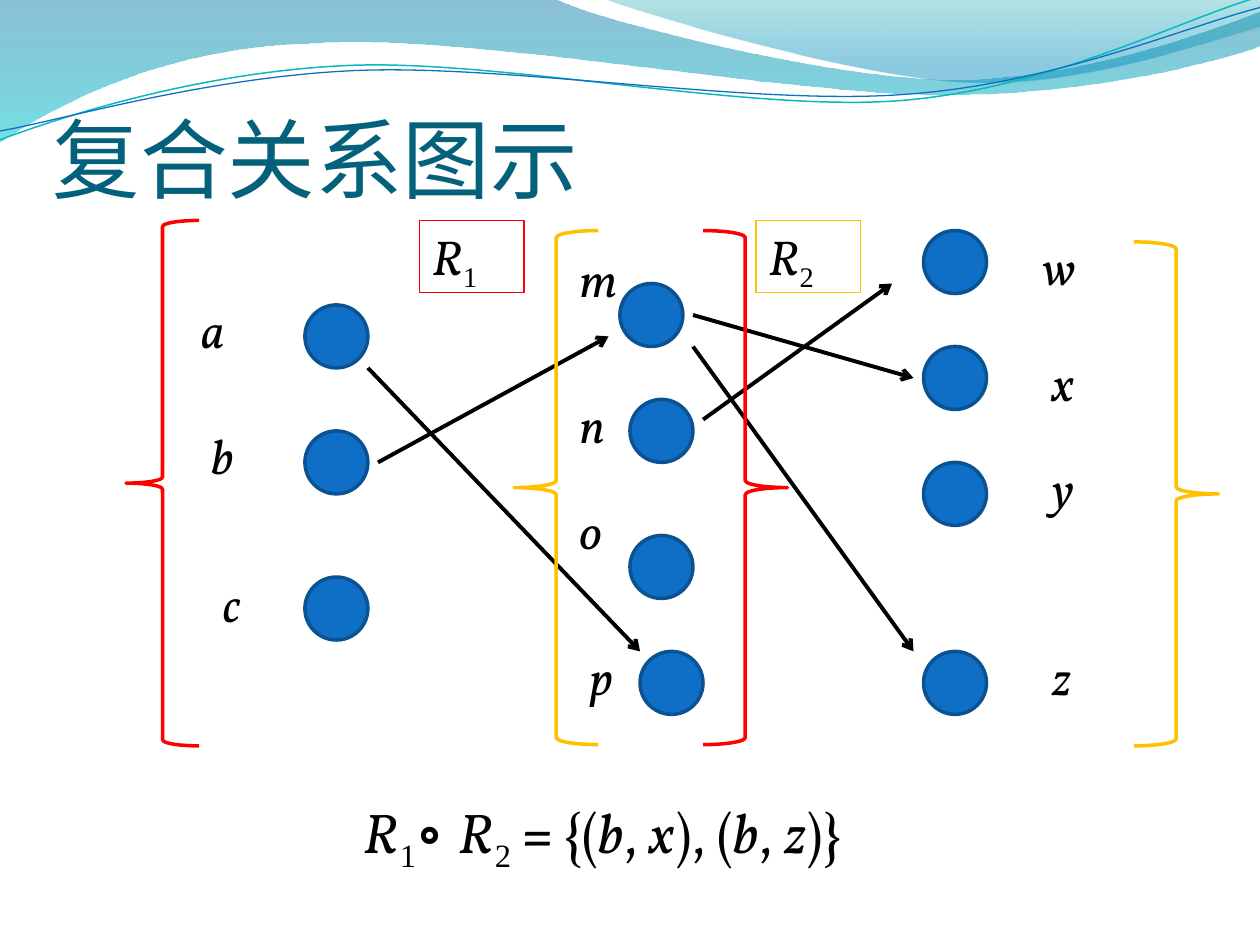
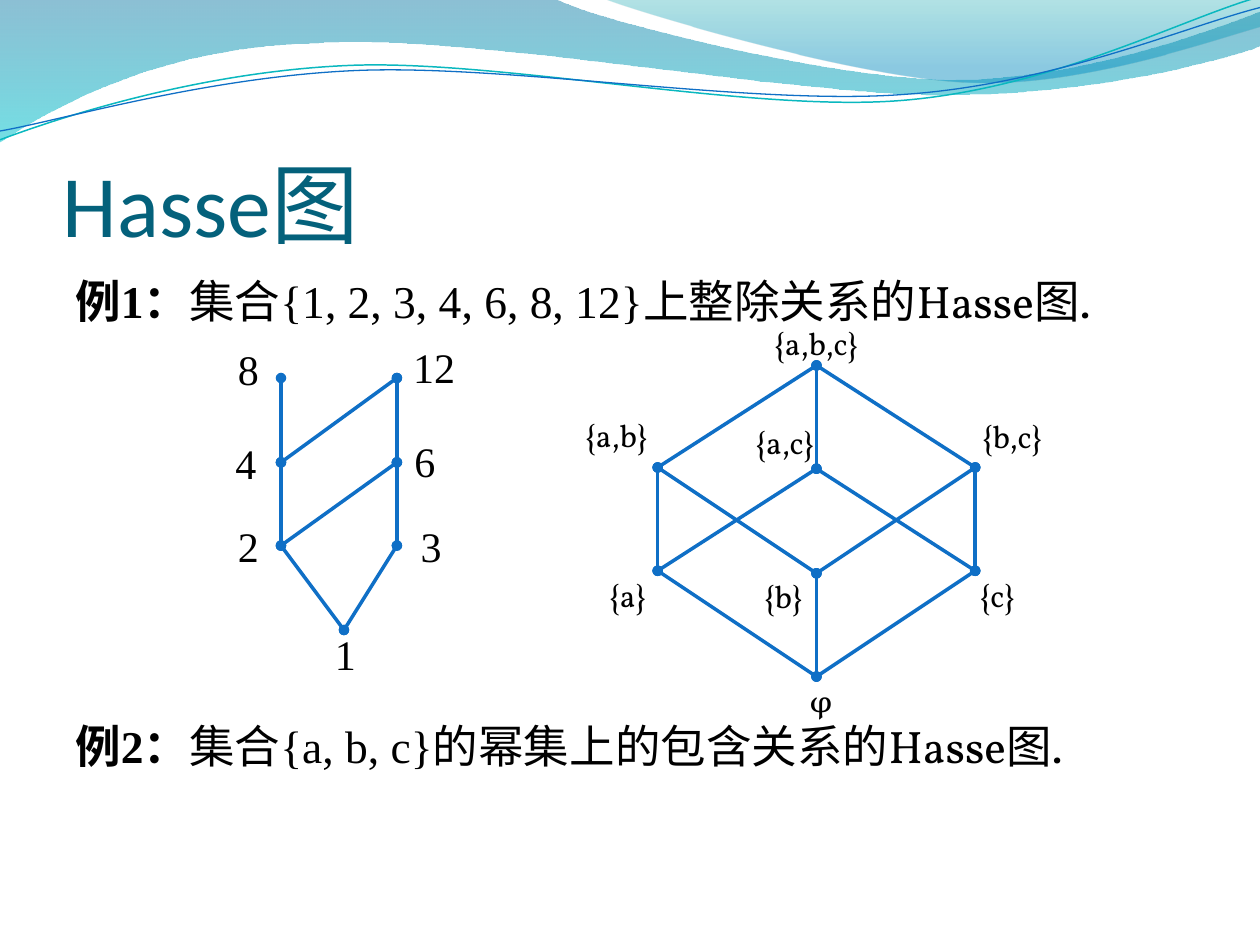
"""Build two slides on composed relations and Hasse diagrams."""
import pptx
import pptx.dml.color
import pptx.enum.shapes
import pptx.enum.text
import pptx.oxml
import pptx.oxml.ns
import pptx.util
from lxml import etree

BLUE, DARK_BLUE, TEAL = "0F6FC6", "0B5292", "04617B"
RED, AMBER, BLACK = "FF0000", "FFC000", "000000"
SERIF, ROMAN = "Vollkorn", "Times New Roman"
SHAPES = pptx.enum.shapes.MSO_SHAPE
ITALIC, UPRIGHT = {"italic": True}, {"italic": False}
SUBSCRIPT = {"name": ROMAN, "baseline": -25000}
WAVES = [
    {
        "steps": [(0, 0), (4.4, -0.01), (4.76, 0.17, 6.64, 0.63, 7.58, 0.63),
                  (8.53, 0.63, 9.58, 0.26, 10, 0.09), (10.01, 0.36),
                  (9.83, 0.44, 8.7, 0.76, 7.46, 0.75),
                  (6.22, 0.75, 3.82, 0.28, 2.57, 0.34),
                  (1.29, 0.36, 0.46, 0.83, -0.01, 1.13)],
        "stops": [(0, "0074A1", 45), (1, "00C6CF", 55)],
    },
    {
        "steps": [(4.79, -0.01), (5.09, 0.11, 6.82, 0.62, 7.69, 0.65),
                  (8.56, 0.69, 9.61, 0.32, 10, 0.21), (10, 0)],
        "stops": [(0, "00A1A9", 30), (0.8, "008BBF", 45)],
    },
    {
        "steps": [(0, 1.11), (0.48, 0.93, 1.58, 0.57, 2.77, 0.52),
                  (3.95, 0.47, 5.93, 0.89, 7.13, 0.8),
                  (8.33, 0.71, 9.38, 0.15, 9.98, -0.02)],
        "line": ("0AB8BF", 0.85),
    },
    {
        "steps": [(0, 1.04), (0.47, 0.96, 1.64, 0.61, 2.83, 0.56),
                  (4.03, 0.51, 5.97, 0.84, 7.17, 0.75),
                  (8.36, 0.67, 9.41, 0.21, 10, 0.06)],
        "line": (BLUE, 0.75),
    },
]


def colour(value):
    """Turn a hex string into a colour."""
    return pptx.dml.color.RGBColor.from_string(value)


def lengths(*inches):
    """Turn distances in inches into lengths."""
    return [pptx.util.Cm(value * 2.54) for value in inches]


def add_child(parent, tag, **attributes):
    """Append a DrawingML element with the given attributes."""
    child = etree.SubElement(parent, pptx.oxml.ns.qn("a:" + tag))
    for name, value in attributes.items():
        child.set(name, str(value))
    return child


class Deck:
    """Hold the presentation style and the current slide."""

    def __init__(self):
        """Start an empty presentation of 10 by 7.5 inches."""
        self.presentation = pptx.Presentation()
        self.presentation.slide_width, self.presentation.slide_height = lengths(10, 7.5)
        self.layout = self.presentation.slide_layouts[6]
        self.slide = None

    def new_slide(self, title, left, top):
        """Add a slide with a title, drawing the shared waves at the first."""
        first = self.slide is None
        self.slide = self.presentation.slides.add_slide(self.layout)
        if first:
            for wave in WAVES:
                self.layout.shapes._spTree.append(self.wave(**wave)._element)
        shape = self.text((left, top, 9, 1.25), [[(title, {})]], grow=False,
                          name="Calibri", size=50, colour=TEAL)
        frame = shape.text_frame
        frame.vertical_anchor = pptx.enum.text.MSO_ANCHOR.BOTTOM
        for side in ("left", "right"):
            setattr(frame, "margin_" + side, 0)
        frame.margin_bottom = 0

    def wave(self, steps, stops=None, line=None):
        """Draw one curve, either filled with a gradient or stroked."""
        points = [lengths(*step[-2:]) for step in steps]
        builder = self.slide.shapes.build_freeform(*points[0])
        builder.add_line_segments(points[1:], close=bool(stops))
        shape = builder.convert_to_shape()
        segments = list(shape._element.iter(pptx.oxml.ns.qn("a:lnTo")))
        for segment, step in zip(segments, steps[1:]):
            if len(step) == 6:
                self.bend(segment, step, shape)
        shape.shadow.inherit = False
        self.outline(shape, line)
        if not stops:
            shape.fill.background()
            return shape
        shape.fill.gradient()
        shape.fill.gradient_angle = 270
        for stop, (position, value, opacity) in zip(shape.fill.gradient_stops, stops):
            stop.position = position
            stop.color.rgb = colour(value)
            add_child(stop._gs[0], "alpha", val=opacity * 1000)
        return shape

    def bend(self, segment, step, shape):
        """Replace a straight segment by a cubic curve."""
        parent = segment.getparent()
        curve = add_child(parent, "cubicBezTo")
        for x, y in zip(lengths(*step[::2]), lengths(*step[1::2])):
            add_child(curve, "pt", x=x - shape.left, y=y - shape.top)
        parent.replace(segment, curve)

    def outline(self, shape, line):
        """Set a line from a colour and a width, or remove it."""
        if line:
            shape.line.color.rgb = colour(line[0])
            shape.line.width = pptx.util.Pt(line[1])
        else:
            shape.line.fill.background()

    def text(self, box, paragraphs, wrap=True, grow=True, line=None, **style):
        """Add a text box whose runs override a common style."""
        shape = self.slide.shapes.add_textbox(*lengths(*box))
        frame = shape.text_frame
        frame.word_wrap = wrap
        sizes = pptx.enum.text.MSO_AUTO_SIZE
        frame.auto_size = sizes.SHAPE_TO_FIT_TEXT if grow else sizes.NONE
        if line:
            self.outline(shape, line)
        for index, runs in enumerate(paragraphs):
            paragraph = frame.add_paragraph() if index else frame.paragraphs[0]
            for content, changes in runs:
                self.run(paragraph, content, {"name": SERIF, "colour": BLACK, **style, **changes})
        return shape

    def run(self, paragraph, content, values):
        """Add a run formatted by a dict of values."""
        run = paragraph.add_run()
        run.text = content
        run.font.color.rgb = colour(values.pop("colour"))
        run.font.size = pptx.util.Pt(values.pop("size"))
        if "baseline" in values:
            run._r.get_or_add_rPr().set("baseline", str(values.pop("baseline")))
        for name, value in values.items():
            setattr(run.font, name, value)

    def shape(self, kind, box, line, fill=None):
        """Add a preset shape."""
        shape = self.slide.shapes.add_shape(kind, *lengths(*box))
        shape.shadow.inherit = False
        self.outline(shape, line)
        if fill:
            shape.fill.solid()
            shape.fill.fore_color.rgb = colour(fill)
        else:
            shape.fill.background()

    def connect(self, start, end, line, ends):
        """Add a straight connector with the given end marks."""
        connector = self.slide.shapes.add_connector(
            pptx.enum.shapes.MSO_CONNECTOR.STRAIGHT, *lengths(*start, *end))
        self.outline(connector, line)
        for tag, mark in ends.items():
            add_child(connector.line._get_or_add_ln(), tag, type=mark)
        add_child(connector._element.spPr, "effectLst")

    def hasse(self, nodes, below, label, **style):
        """Draw a Hasse diagram by joining each node to those it covers."""
        for upper, (x, y, *_) in nodes.items():
            lower = [node for node in nodes if node != upper and below(node, upper)]
            for node in lower:
                if not any(other != node and below(node, other) for other in lower):
                    self.connect((x, y), nodes[node][:2], (BLUE, 2),
                                 {"headEnd": "oval", "tailEnd": "oval"})
        for node, (_, _, *box) in nodes.items():
            self.text(box, [[(label(node), {})]], wrap=False, **style)


def set_label(members):
    """Write a set of letters in braces, or the empty set sign."""
    return "{" + ",".join(members) + "}" if members else "φ"


def relation_slide(deck):
    """Show the composition of two relations."""
    deck.new_slide("复合关系图示", 0.42, 0.42)
    elements = {
        "a": (2.42, 2.42, 1.5, 2.33), "b": (2.42, 3.42, 1.58, 3.33),
        "c": (2.42, 4.58, 1.67, 4.5),
        "m": (4.92, 2.25, 4.5, 1.92), "n": (5, 3.17, 4.5, 3.08),
        "o": (5, 4.25, 4.5, 3.92), "p": (5.08, 5.17, 4.58, 5.08),
        "w": (7.33, 1.83, 8.17, 1.83), "x": (7.33, 2.75, 8.25, 2.75),
        "y": (7.33, 3.67, 8.25, 3.58), "z": (7.33, 5.17, 8.25, 5.08),
    }
    for name, (left, top, label_left, label_top) in elements.items():
        deck.shape(SHAPES.OVAL, (left, top, 0.5, 0.5), (DARK_BLUE, 2), BLUE)
        deck.text((label_left, label_top, 0.42, 0.57), [[(name, ITALIC)]], size=28)
    for number, left, value in (("1", 3.33, RED), ("2", 6, AMBER)):
        deck.text((left, 1.75, 0.83, 0.57), [[("R", ITALIC), (number, SUBSCRIPT)]],
                  line=(value, 0.75), size=28)
    arrows = [
        ((3, 3.67), (4.83, 2.67)), ((2.92, 2.92), (5.08, 5.17)),
        ((5.58, 3.33), (7.08, 2.25)), ((5.5, 2.5), (7.25, 3)),
        ((5.5, 2.75), (7.25, 5.17)),
    ]
    for start, end in arrows:
        deck.connect(start, end, (BLACK, 2.25), {"tailEnd": "arrow"})
    formula = [("R", ITALIC), ("1", SUBSCRIPT), ("∘ ", {"name": ROMAN, "bold": True}),
               ("R", ITALIC), ("2", SUBSCRIPT), (" = ", {"bold": True})]
    for index, part in enumerate(("{(", "b", ", ", "x", "), (", "b", ", ", "z", ")}")):
        formula.append((part, ITALIC if index % 2 else UPRIGHT))
    deck.text((2.79, 6.28, 4.63, 0.64), [formula], size=32)
    braces = [
        (SHAPES.RIGHT_BRACE, (5.58, 1.83, 0.67, 4.08), RED),
        (SHAPES.LEFT_BRACE, (1, 1.75, 0.58, 4.17), RED),
        (SHAPES.RIGHT_BRACE, (9, 1.92, 0.67, 4), AMBER),
        (SHAPES.LEFT_BRACE, (4.08, 1.83, 0.67, 4.08), AMBER),
    ]
    for kind, box, value in braces:
        deck.shape(kind, box, (value, 2))


def hasse_slide(deck):
    """Show Hasse diagrams of divisibility and of inclusion."""
    deck.new_slide("Hasse图", 0.5, 0.77)
    examples = [
        ("1：", "集合{1, 2, 3, 4, 6, 8, 12}上整除关系的"),
        ("2：", "集合{a, b, c}的幂集上的包含关系的"),
    ]
    body = deck.text((0.5, 2.12, 9, 4.8), [
        [("例", {"bold": True}), (number, {"name": ROMAN, "bold": True}),
         (statement, {"name": ROMAN}), ("Hasse图.", {})]
        for number, statement in examples
    ], grow=False, size=26)
    first, second = body.text_frame.paragraphs
    first.space_before = pptx.util.Pt(5.2)
    second.space_before = pptx.util.Pt(218)
    second.line_spacing = pptx.util.Pt(36)
    left, right = 2.23, 3.15
    divisors = {
        8: (left, 3, 1.79, 2.68, 0.39, 0.5), 12: (right, 3, 3.18, 2.66, 0.57, 0.5),
        4: (left, 3.67, 1.77, 3.42, 0.39, 0.5), 6: (right, 3.67, 3.19, 3.41, 0.39, 0.5),
        2: (left, 4.33, 1.79, 4.08, 0.39, 0.5), 3: (right, 4.33, 3.24, 4.08, 0.39, 0.5),
        1: (2.73, 5, 2.56, 4.94, 0.39, 0.5),
    }
    deck.hasse(divisors, lambda low, high: high % low == 0, str, name=ROMAN, size=24)
    left, middle, right = 5.22, 6.48, 7.74
    subsets = {
        "abc": (middle, 2.9, 6.05, 2.52, 0.88, 0.4),
        "ab": (left, 3.71, 4.55, 3.25, 0.71, 0.4),
        "ac": (middle, 3.72, 5.9, 3.31, 0.68, 0.4),
        "bc": (right, 3.71, 7.7, 3.26, 0.7, 0.4),
        "a": (left, 4.53, 4.74, 4.52, 0.5, 0.4),
        "b": (middle, 4.55, 5.97, 4.53, 0.52, 0.4),
        "c": (right, 4.53, 7.68, 4.52, 0.5, 0.4),
        "": (middle, 5.37, 6.33, 5.36, 0.33, 0.4),
    }
    deck.hasse(subsets, lambda low, high: set(low) <= set(high), set_label, size=18)


deck = Deck()
relation_slide(deck)
hasse_slide(deck)
deck.presentation.save("out.pptx")
